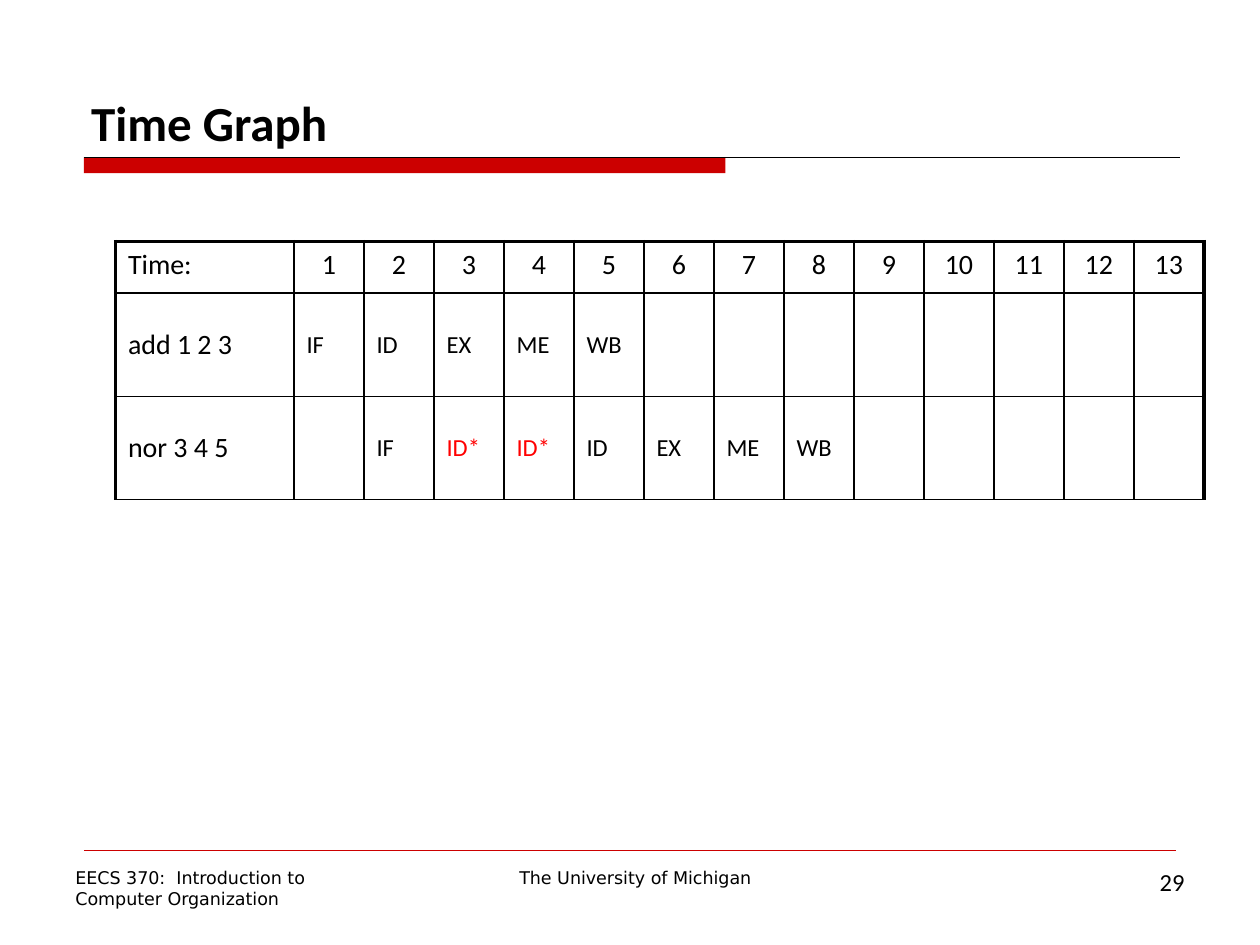
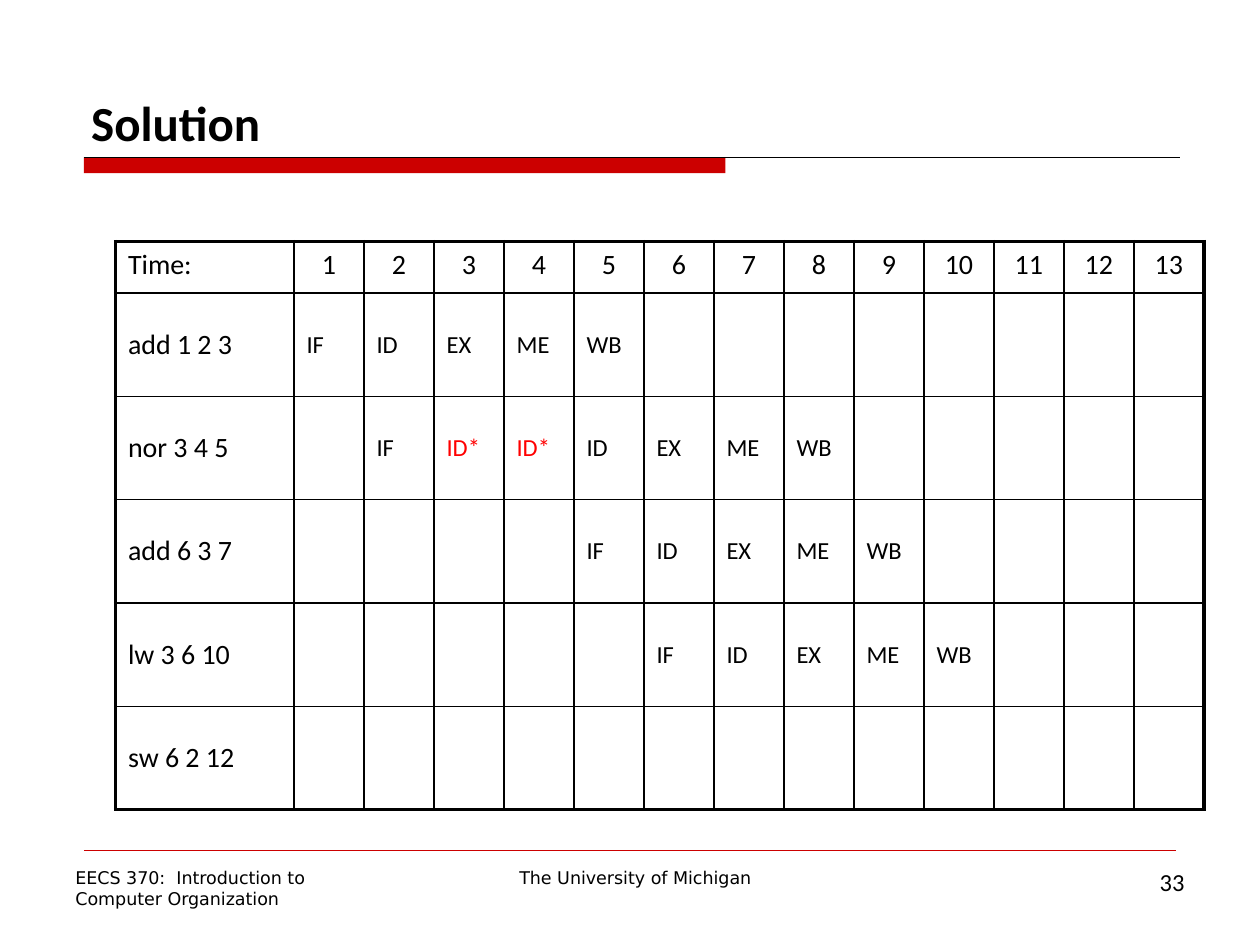
from lxml import etree
from pptx import Presentation
from pptx.dml.color import RGBColor
from pptx.enum.shapes import MSO_CONNECTOR, MSO_SHAPE
from pptx.enum.text import MSO_ANCHOR, PP_ALIGN
from pptx.oxml.ns import qn
from pptx.util import Inches, Pt

LEFT, CENTER, RIGHT = PP_ALIGN.LEFT, PP_ALIGN.CENTER, PP_ALIGN.RIGHT
TOP, MIDDLE, BOTTOM = MSO_ANCHOR.TOP, MSO_ANCHOR.MIDDLE, MSO_ANCHOR.BOTTOM
RECT, STRAIGHT = MSO_SHAPE.RECTANGLE, MSO_CONNECTOR.STRAIGHT

WIDTH, HEIGHT = 10, 7.5
COLS, ROWS = 120, 90
BLACK, RED, STALL = "000000", "CC0000", "FF0000"
BODY, SMALL = "Calibri", "DejaVu Sans"
THIN, THICK = 1, 2.25

CYCLES = 13
NAME_WIDTH, CYCLE_WIDTH = 17, 6.67
HEAD_HEIGHT, ROW_HEIGHT = 4.92, 9.84

# Each instruction: its name, the cycle it is fetched in, its stages.
PIPE = [
    ("add 1 2 3", 1, "IF ID EX ME WB"),
    ("nor 3 4 5", 2, "IF ID* ID* ID EX ME WB"),
    ("add 6 3 7", 5, "IF ID EX ME WB"),
    ("lw 3 6 10", 6, "IF ID EX ME WB"),
    ("sw 6 2 12", 1, ""),
]


def color(code):
    return RGBColor.from_string(code)


def horiz(cols):
    return Inches(cols * WIDTH / COLS)


def vert(rows):
    return Inches(rows * HEIGHT / ROWS)


def border(cell, **sides):
    """Draw the cell's sides (L, R, T, B), given as widths in points."""
    props = cell._tc.get_or_add_tcPr()
    for side in "LRTB":
        line = etree.SubElement(props, qn(f"a:ln{side}"), w=str(Pt(sides[side])))
        fill = etree.SubElement(line, qn("a:solidFill"))
        etree.SubElement(fill, qn("a:srgbClr"), val=BLACK)


class Deck:
    """Holds the shared style and the slide being built."""

    def __init__(self):
        self.show = Presentation()
        self.show.slide_width = Inches(WIDTH)
        self.show.slide_height = Inches(HEIGHT)
        self.slide = None

    def page(self, title, number):
        """Start a slide with its title, rules and footer."""
        self.slide = self.show.slides.add_slide(self.show.slide_layouts[6])
        self.band(8, 15, 61.1, 1.5)
        self.rule(8, 112.4, 15, BLACK, 0.5)
        self.rule(8, 112, 81, RED, 0.25)
        self.text(38, 82, 45, 3.2, ["The University of Michigan"], 10, SMALL, CENTER)
        self.text(6, 82, 33, 5.2,
                  ["EECS 370:  Introduction to", "Computer Organization"], 10, SMALL)
        self.text(86, 82, 28, 6.2, [str(number)], 14, align=RIGHT)
        self.text(7.5, 4, 105, 11, [title], 28, bold=True, anchor=BOTTOM)

    def band(self, left, top, width, height):
        shape = self.slide.shapes.add_shape(
            RECT, horiz(left), vert(top), horiz(width), vert(height))
        shape.shadow.inherit = False
        shape.fill.solid()
        shape.fill.fore_color.rgb = color(RED)
        shape.line.fill.background()

    def rule(self, start, end, row, code, points):
        line = self.slide.shapes.add_connector(
            STRAIGHT, horiz(start), vert(row), horiz(end), vert(row))
        line.line.color.rgb = color(code)
        line.line.width = Pt(points)
        etree.SubElement(line._element.spPr, qn("a:effectLst"))

    def style(self, para, size, font=BODY, align=LEFT, bold=False, code=BLACK):
        para.alignment = align
        para.font.name = font
        para.font.size = Pt(size)
        para.font.bold = bold
        para.font.color.rgb = color(code)

    def text(self, left, top, width, height, lines, size, font=BODY,
             align=LEFT, bold=False, anchor=TOP):
        box = self.slide.shapes.add_textbox(
            horiz(left), vert(top), horiz(width), vert(height))
        frame = box.text_frame
        frame.word_wrap = True
        frame.vertical_anchor = anchor
        frame.text = "\n".join(lines)
        for para in frame.paragraphs:
            self.style(para, size, font, align, bold)

    def chart(self, pipe, base):
        """Add the table of stages by cycle; base is its bottom line width."""
        count = len(pipe)
        grid = [["Time:", *map(str, range(1, CYCLES + 1))]]
        for name, start, stages in pipe:
            cells = [""] * (start - 1) + stages.split()
            grid.append([name, *cells, *[""] * (CYCLES - len(cells))])

        table = self.slide.shapes.add_table(
            count + 1, CYCLES + 1, horiz(11), vert(23),
            horiz(NAME_WIDTH + CYCLES * CYCLE_WIDTH),
            vert(HEAD_HEIGHT + count * ROW_HEIGHT)).table
        for c, col in enumerate(table.columns):
            col.width = horiz(CYCLE_WIDTH if c else NAME_WIDTH)
        for r, row in enumerate(table.rows):
            row.height = vert(ROW_HEIGHT if r else HEAD_HEIGHT)
            for c, cell in enumerate(row.cells):
                border(cell, L=THIN if c else THICK,
                       R=THICK if c == CYCLES else THIN,
                       T=THIN if r else THICK,
                       B=base if r == count else THIN)
                cell.fill.background()
                cell.vertical_anchor = MIDDLE if r else TOP
                word = cell.text = grid[r][c]
                self.style(cell.text_frame.paragraphs[0],
                           14 if r and c else 16,
                           align=CENTER if c and not r else LEFT,
                           code=STALL if word.endswith("*") else BLACK)


def main():
    deck = Deck()
    deck.page("Time Graph", 29)
    deck.chart(PIPE[:2], THIN)
    deck.page("Solution", 33)
    deck.chart(PIPE, THICK)
    deck.show.save("out.pptx")


if __name__ == "__main__":
    main()
